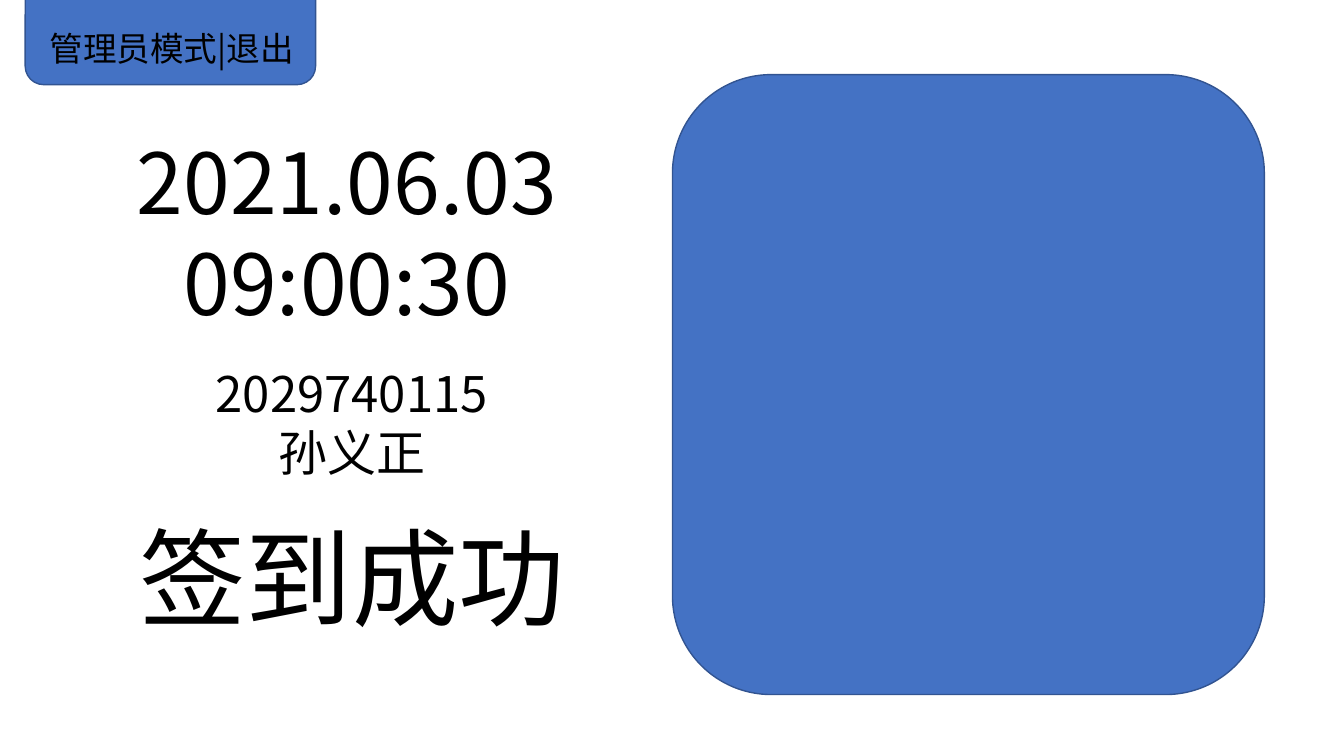
from lxml import etree
from pptx import Presentation
from pptx.dml.color import RGBColor
from pptx.enum.shapes import MSO_SHAPE
from pptx.enum.text import MSO_ANCHOR, MSO_AUTO_SIZE, PP_ALIGN
from pptx.oxml.ns import qn
from pptx.util import Inches, Pt

PANEL = MSO_SHAPE.FLOWCHART_ALTERNATE_PROCESS
MIDDLE = MSO_ANCHOR.MIDDLE
NO_FIT = MSO_AUTO_SIZE.NONE
LEFT = PP_ALIGN.LEFT
CENTER = PP_ALIGN.CENTER
FONT = "Noto Sans CJK SC"
BLACK = "000000"
BLUE = "4472C4"
DARK_BLUE = "325491"


def color(value):
    return RGBColor.from_string(value)


def format_paragraph(paragraph, size, alignment):
    paragraph.alignment = alignment
    font = paragraph.font
    font.name = FONT
    font.size = Pt(size)
    font.color.rgb = color(BLACK)
    properties = paragraph._p.get_or_add_pPr().find(qn("a:defRPr"))
    east_asian = etree.Element(qn("a:ea"), typeface=FONT)
    properties.find(qn("a:latin")).addnext(east_asian)


def add_panel(slide, left, top, width, height):
    shape = slide.shapes.add_shape(
        PANEL, Inches(left), Inches(top), Inches(width), Inches(height))
    shape.shadow.inherit = False
    shape.fill.solid()
    shape.fill.fore_color.rgb = color(BLUE)
    shape.line.color.rgb = color(DARK_BLUE)
    shape.line.width = Pt(1)
    return shape


def add_message(slide, left, top, width, height, lines, size):
    box = slide.shapes.add_textbox(
        Inches(left), Inches(top), Inches(width), Inches(height))
    frame = box.text_frame
    frame.word_wrap = True
    frame.text = "\n".join(lines)
    for paragraph in frame.paragraphs:
        format_paragraph(paragraph, size, CENTER)


def set_title(slide, left, top, width, height, text, size):
    title = slide.shapes.title
    title.left, title.top = Inches(left), Inches(top)
    title.width, title.height = Inches(width), Inches(height)
    frame = title.text_frame
    frame.text = text
    frame.auto_size = NO_FIT
    frame.vertical_anchor = MIDDLE
    paragraph = frame.paragraphs[0]
    paragraph.line_spacing = 0.9
    format_paragraph(paragraph, size, LEFT)
    return title


def main():
    presentation = Presentation()
    presentation.slide_width = Inches(13.33)
    presentation.slide_height = Inches(7.5)
    slide = presentation.slides.add_slide(presentation.slide_layouts[5])

    menu_tab = add_panel(slide, 0.25, -0.26, 2.88, 1.1)
    title = set_title(slide, 0.39, 0.25, 3.05, 0.5, "管理员模式|退出", 24)
    menu_tab.element.addnext(title.element)

    add_message(slide, 1.12, 1.25, 4.64, 2.12, ["2021.06.03", "09:00:30"], 60)
    add_message(slide, 1.62, 3.56, 3.74, 1.28, ["2029740115", "孙义正"], 35)
    add_panel(slide, 6.67, 0.74, 5.87, 6.15)
    add_message(slide, 0.87, 5.03, 5.25, 1.38, ["签到成功"], 76)

    presentation.save("out.pptx")


main()
